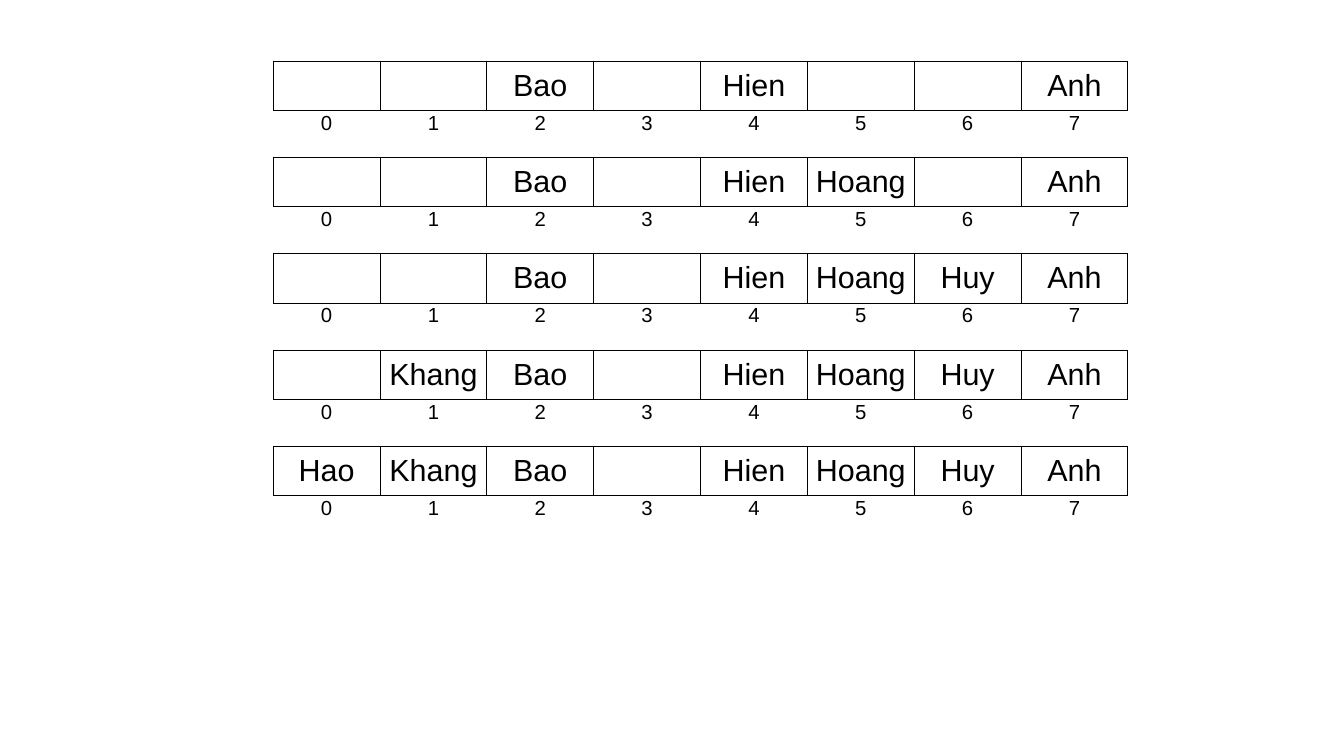
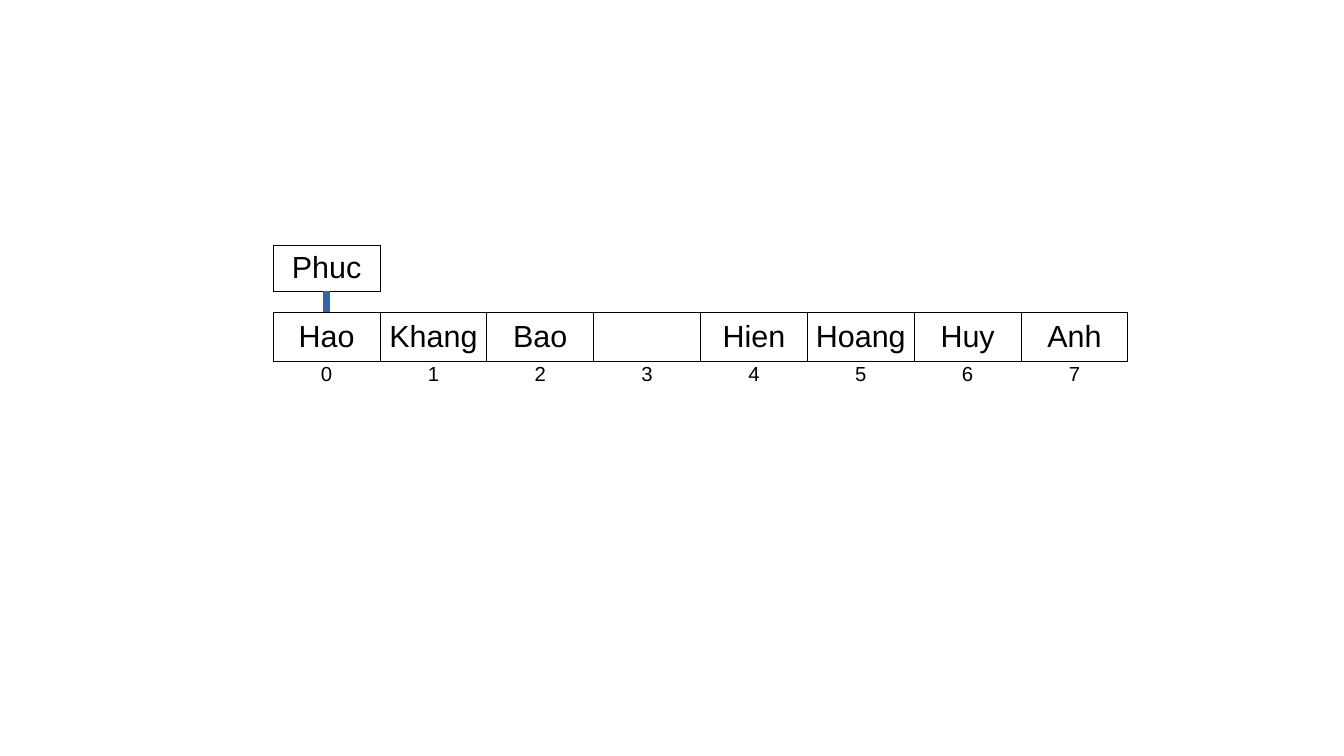
from lxml import etree
from pptx import Presentation
from pptx import util as u
from pptx.dml.color import RGBColor
from pptx.enum import shapes, text
from pptx.oxml.ns import qn

BLACK = RGBColor(0x00, 0x00, 0x00)
BLUE = RGBColor(0x34, 0x65, 0xA4)
FONT = "Arial"

SLOTS = 8
LEFT, TOP = 2.24, 0.5
COL, ROW = 7.01 / SLOTS, 0.38
STEP = 0.79          # from one array to the next
INDEX_DROP = 0.32    # from an array to its index numbers
CHAIN_TOP = 2.01     # node chained above slot 0
CHAIN_GAP = 0.17     # length of the link below that node


def add_row(s, values, top, size=18, border=None):
    """Add a one-row table that starts at slot 0; no border means no lines."""
    frame = s.shapes.add_table(1, len(values), u.Inches(LEFT), u.Inches(top),
                               u.Inches(COL * len(values)), u.Inches(ROW))
    table = frame.table
    table.first_row = table.horz_banding = False
    for cell, value in zip(table.iter_cells(), values):
        tcPr = cell._tc.get_or_add_tcPr()
        for side in ("a:lnL", "a:lnR", "a:lnT", "a:lnB"):
            ln = etree.SubElement(tcPr, qn(side), w=str(u.Pt(0.57)))
            if border is None:
                etree.SubElement(ln, qn("a:noFill"))
            else:
                fill = etree.SubElement(ln, qn("a:solidFill"))
                etree.SubElement(fill, qn("a:srgbClr"), val=str(border))
        cell.fill.background()
        cell.margin_left = cell.margin_right = u.Inches(0.04)
        cell.margin_top = cell.margin_bottom = u.Inches(0.05)
        cell.vertical_anchor = text.MSO_ANCHOR.MIDDLE
        p = cell.text_frame.paragraphs[0]
        p.alignment = text.PP_ALIGN.CENTER
        if value:
            r = p.add_run()
            r.text = value
            r.font.name, r.font.size = FONT, u.Pt(size)
            r.font.color.rgb = BLACK


def add_array(s, names, top):
    """Add an array of names with its index numbers underneath."""
    add_row(s, names, top, border=BLACK)
    add_row(s, [str(i) for i in range(SLOTS)], top + INDEX_DROP, size=12)


prs = Presentation()
prs.slide_width, prs.slide_height = u.Inches(11.02), u.Inches(6.2)
blank = prs.slide_layouts[6]

# Slide 1: the array after each insertion
s = prs.slides.add_slide(blank)
names = ["", "", "Bao", "", "Hien", "", "", "Anh"]
add_array(s, names, TOP)
insertions = [(5, "Hoang"), (6, "Huy"), (1, "Khang"), (0, "Hao")]
for step, (slot, name) in enumerate(insertions, start=1):
    names[slot] = name
    add_array(s, names, TOP + step * STEP)

# Slide 2: a collision in slot 0, chained above it
s = prs.slides.add_slide(blank)
link_top = CHAIN_TOP + ROW
array_top = link_top + CHAIN_GAP
add_array(s, names, array_top)
add_row(s, ["Phuc"], CHAIN_TOP, border=BLACK)

link_x = u.Inches(LEFT + COL / 2)
link = s.shapes.add_connector(shapes.MSO_CONNECTOR.STRAIGHT, link_x, u.Inches(link_top),
                              link_x, u.Inches(array_top))
link.line.color.rgb = BLUE
link.line.width = u.Pt(4.31)
etree.SubElement(link._element.spPr, qn("a:effectLst"))

prs.save("out.pptx")
